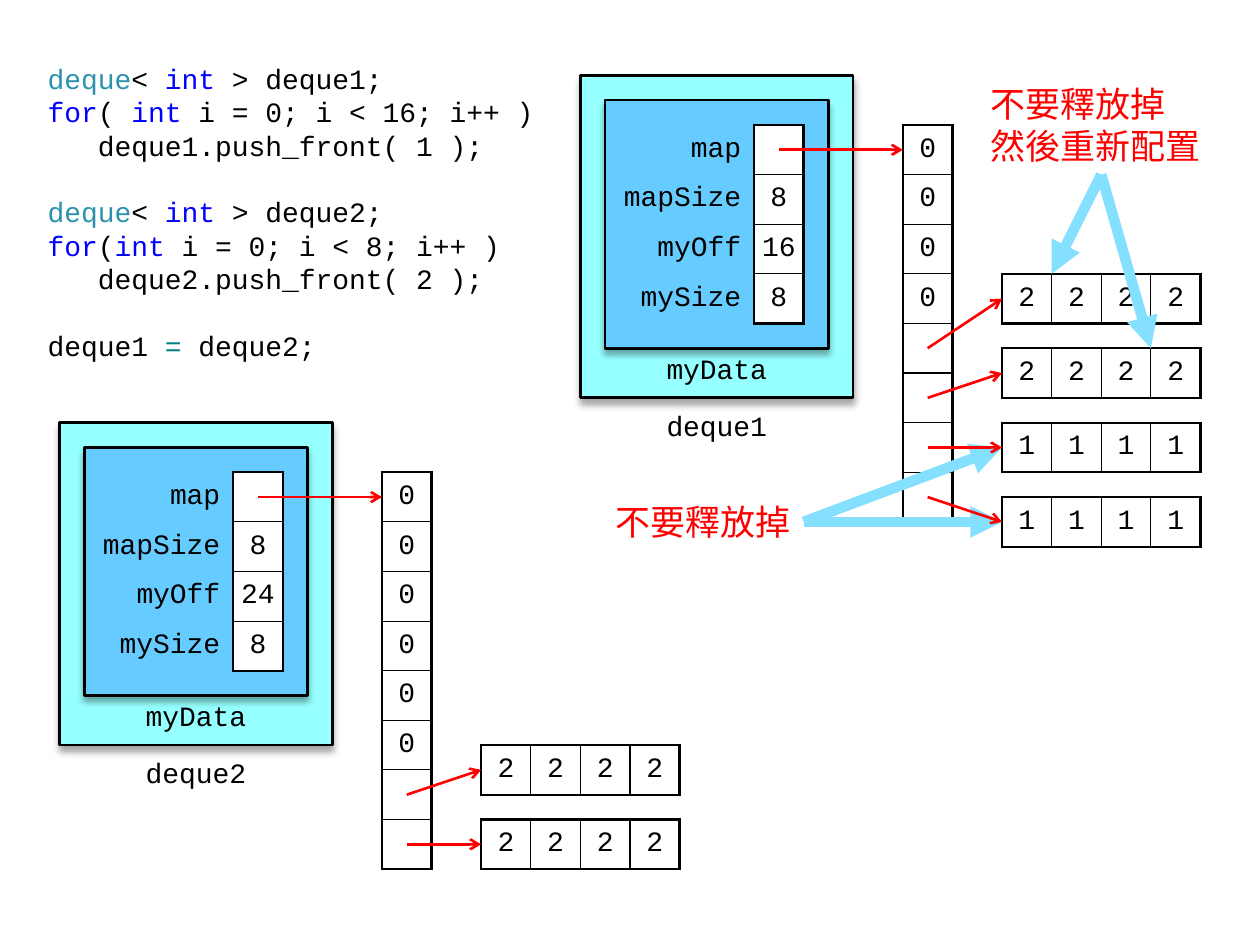
import pptx
import pptx.util
import pptx.dml.color
import pptx.enum.shapes
import pptx.enum.text
import pptx.oxml
import lxml.etree

PX = 7200
CELL = 50
COLORS = {
    "black": "000000", "white": "FFFFFF", "red": "FF0000", "arrow": "85DFFF",
    "outer": "96FFFF", "inner": "66CCFF",
    "type": "2B91AF", "keyword": "0000FF", "operator": "008080",
}
RGB = {k: pptx.dml.color.RGBColor.from_string(v) for k, v in COLORS.items()}
MONO, CJK = "Courier New", "Noto Sans CJK SC"
ALIGN = pptx.enum.text.PP_ALIGN
MIDDLE = pptx.enum.text.MSO_ANCHOR.MIDDLE
TOP = pptx.enum.text.MSO_ANCHOR.TOP
NS = 'xmlns:a="http://schemas.openxmlformats.org/drawingml/2006/main"'
A = "{http://schemas.openxmlformats.org/drawingml/2006/main}"
NO_GRID = "{2D5ABB26-0587-4C30-8999-92F81FD0307C}"


def text(tf, lines, size=16, font=MONO, color="black", align=ALIGN.CENTER, pitch=None, gaps=()):
    for i, line in enumerate(lines):
        p = tf.paragraphs[0] if i == 0 else tf.add_paragraph()
        p.alignment = align
        if pitch:
            p.line_spacing = pptx.util.Pt(pitch)
        if i in gaps:
            p.space_before = pptx.util.Pt(pitch)
        for part, key in [(line, color)] if isinstance(line, str) else line:
            if not part:
                lxml.etree.SubElement(p._p, A + "endParaRPr", sz=str(size * 100))
                continue
            r = p.add_run()
            r.text = part
            r.font.size = pptx.util.Pt(size)
            r.font.name = font
            r.font.color.rgb = RGB[key]
            lxml.etree.SubElement(r._r.rPr, A + "ea", typeface=font)


def label(lines, x, y, w, h, insets, anchor=MIDDLE, **fmt):
    tf = s.shapes.add_textbox(x * PX, y * PX, w * PX, h * PX).text_frame
    tf.word_wrap = True
    tf.vertical_anchor = anchor
    tf.margin_left, tf.margin_top, tf.margin_right, tf.margin_bottom = [v * PX for v in insets]
    text(tf, lines, **fmt)


prs = pptx.Presentation()
prs.slide_width = pptx.util.Inches(10)
prs.slide_height = pptx.util.Inches(7.5)
s = prs.slides.add_slide(prs.slide_layouts[6])

fields = ["map", "mapSize", "myOff", "mySize"]
deques = [
    ("deque1", 585, 76, ["", "8", "16", "8"], 4, [(200, "2"), (275, "2"), (350, "1"), (425, "1")]),
    ("deque2", 60, 426, ["", "8", "24", "8"], 6, [(325, "2"), (400, "2")]),
]
tables = []
lines = [
    (810, 526, 1010, 451, "arrow"),
    (810, 526, 1010, 526, "arrow"),
]

for name, x, y, values, zeros, blocks in deques:
    for dx, dy, w, h, key in [(0, 0, 275, 325, "outer"), (25, 25, 225, 250, "inner")]:
        sp = s.shapes.add_shape(
            pptx.enum.shapes.MSO_SHAPE.FLOWCHART_PROCESS,
            (x + dx) * PX, (y + dy) * PX, w * PX, h * PX)
        sp.fill.solid()
        sp.fill.fore_color.rgb = RGB[key]
        sp.line.color.rgb = RGB["black"]
        sp.line.width = pptx.util.Pt(1.5)
        sp.shadow.inherit = False
        sp._element.spPr.find(A + "effectLst").append(pptx.oxml.parse_xml(
            f'<a:outerShdw {NS} blurRad="50800" dist="38100" dir="5400000" rotWithShape="0">'
            f'<a:srgbClr val="{COLORS["black"]}"><a:alpha val="35000"/></a:srgbClr></a:outerShdw>'))
    label([name], x + 50, y + 325, 175, CELL, (10, 5, 10, 0))
    label(["myData"], x + 75, y + 275, 125, CELL, (10, 3, 10, 0), anchor=TOP)

    tables.append((x + 25, y + 50, [[f, v] for f, v in zip(fields, values)], 1))
    tables.append((x + 325, y + 50, [["0"]] * zeros + [[""]] * (8 - zeros), 0))
    lines.append((x + 200, y + 75, x + 325, y + 75, "red"))
    for slot, (dy, value) in enumerate(blocks, start=zeros):
        tables.append((x + 425, y + dy, [[value] * 4], 0))
        lines.append((x + 350, y + 75 + slot * CELL, x + 425, y + dy + 25, "red"))

lines += [
    (1110, 176, 1160, 351, "arrow"),
    (1110, 176, 1060, 276, "arrow"),
]

for x, y, rows, first in tables:
    widths = [150 if c < first else CELL for c in range(len(rows[0]))]
    tbl = s.shapes.add_table(
        len(rows), len(widths), x * PX, y * PX, sum(widths) * PX, len(rows) * CELL * PX).table
    tbl.first_row = tbl.horz_banding = False
    tbl._tbl.tblPr[0].text = NO_GRID
    for c, w in enumerate(widths):
        tbl.columns[c].width = w * PX
    for i, row in enumerate(rows):
        tbl.rows[i].height = CELL * PX
        for c, value in enumerate(row):
            cell = tbl.cell(i, c)
            is_label = c < first
            cell.vertical_anchor = MIDDLE
            cell.margin_left = cell.margin_right = (13 if is_label else 5) * PX
            cell.margin_top = cell.margin_bottom = 5 * PX
            text(cell.text_frame, [value], align=ALIGN.RIGHT if is_label else ALIGN.CENTER)
            if is_label:
                cell.fill.background()
                continue
            cell.fill.solid()
            cell.fill.fore_color.rgb = RGB["white"]
            edges = [("L", c == first), ("R", c == len(row) - 1), ("T", i == 0), ("B", i == len(rows) - 1)]
            for n, (side, outside) in enumerate(edges):
                width = pptx.util.Pt(1.5 if outside else 0.75)
                cell._tc.tcPr.insert(n, pptx.oxml.parse_xml(
                    f'<a:ln{side} {NS} w="{width}"><a:solidFill>'
                    f'<a:srgbClr val="{COLORS["black"]}"/></a:solidFill></a:ln{side}>'))

for x1, y1, x2, y2, key in lines:
    cn = s.shapes.add_connector(
        pptx.enum.shapes.MSO_CONNECTOR.STRAIGHT, x1 * PX, y1 * PX, x2 * PX, y2 * PX)
    cn.line.color.rgb = RGB[key]
    cn.line.width = pptx.util.Pt(1.5 if key == "red" else 6)
    lxml.etree.SubElement(cn.line._ln, A + "tailEnd", type="arrow" if key == "red" else "triangle")
    lxml.etree.SubElement(cn._element.spPr, A + "effectLst")

code = [
    [("deque", "type"), ("< ", "black"), ("int", "keyword"), (" > deque1;", "black")],
    [("for", "keyword"), ("( ", "black"), ("int", "keyword"), (" i = 0; i < 16; i++ )", "black")],
    "   deque1.push_front( 1 );",
    [("deque", "type"), ("< ", "black"), ("int", "keyword"), (" > deque2;", "black")],
    [("for", "keyword"), ("(", "black"), ("int", "keyword"), (" i = 0; i < 8; i++ )", "black")],
    "   deque2.push_front( 2 );",
    [("deque1 ", "black"), ("= ", "operator"), ("deque2;", "black")],
]
label(code, 35, 51, 525, 325, (13, 6, 13, 6), align=ALIGN.LEFT, pitch=19.1, gaps=(3, 6))
label(["不要釋放掉"], 610, 501, 200, CELL, (0, 6, 13, 6),
      size=20, font=CJK, color="red", align=ALIGN.RIGHT)
label(["不要釋放掉", "然後重新配置"], 985, 76, 250, 100, (13, 6, 13, 6),
      size=20, font=CJK, color="red", align=ALIGN.LEFT)

prs.save("out.pptx")
